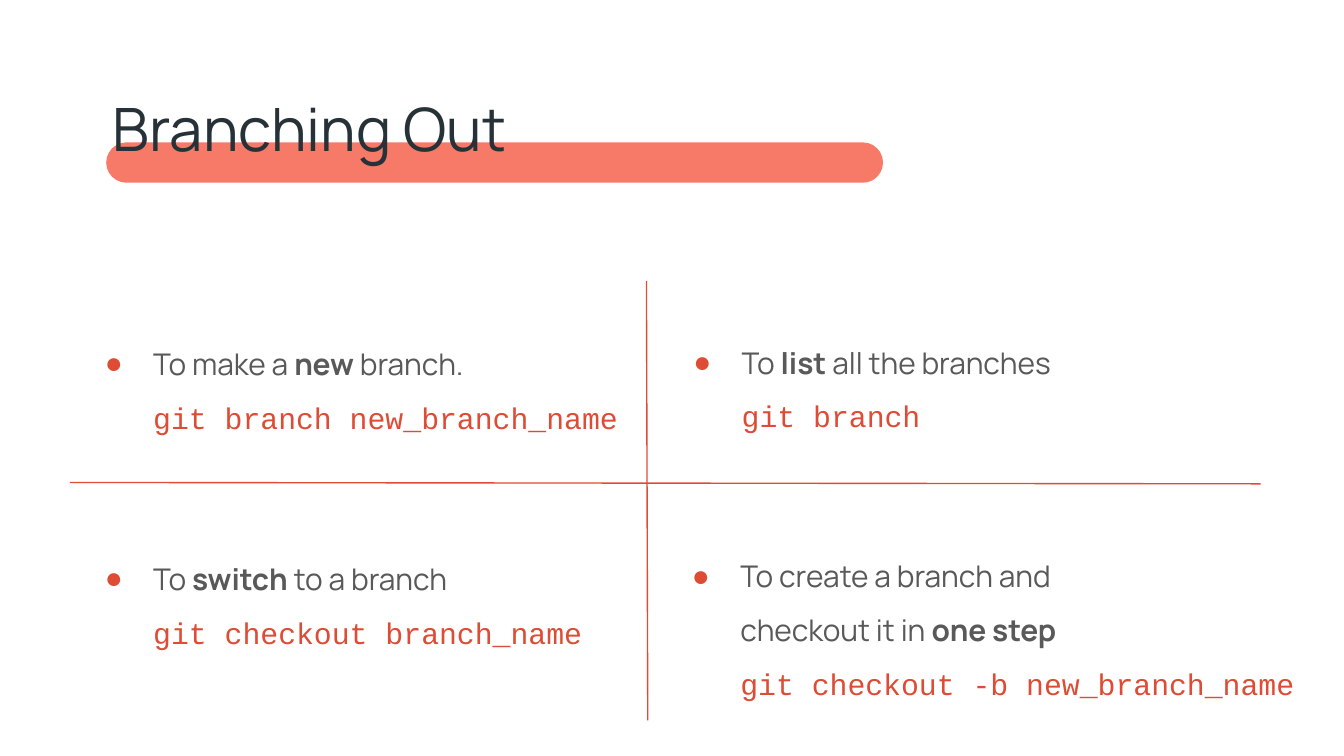
from lxml import etree
from pptx import Presentation
from pptx.dml.color import RGBColor
from pptx.enum.shapes import MSO_CONNECTOR, MSO_SHAPE
from pptx.enum.text import MSO_ANCHOR, MSO_AUTO_SIZE, PP_ALIGN
from pptx.oxml.ns import qn
from pptx.util import Inches, Pt

LEFT, JUSTIFY = PP_ALIGN.LEFT, PP_ALIGN.JUSTIFY
TOP = MSO_ANCHOR.TOP
NO_AUTOFIT = MSO_AUTO_SIZE.NONE
ROUNDED, STRAIGHT = MSO_SHAPE.ROUNDED_RECTANGLE, MSO_CONNECTOR.STRAIGHT

CORAL = RGBColor(0xF7, 0x79, 0x67)
RED = RGBColor(0xDE, 0x4C, 0x36)
NAVY = RGBColor(0x26, 0x32, 0x38)
GRAY = RGBColor(0x59, 0x59, 0x59)
SANS, MONO, BULLET_FONT = "Manrope", "Courier New", "Arial"


def prepare_frame(shape, left, top, width, height):
    """Place a text shape and give it even margins; return its text frame."""
    shape.left, shape.top = Inches(left), Inches(top)
    shape.width, shape.height = Inches(width), Inches(height)
    frame = shape.text_frame
    frame.word_wrap = True
    frame.auto_size = NO_AUTOFIT
    frame.vertical_anchor = TOP
    frame.margin_left = frame.margin_right = Inches(0.1)
    frame.margin_top = frame.margin_bottom = Inches(0.1)
    return frame


def add_line(frame, runs, bullet=False, code=False, space_before=0):
    """Add one indented line made of (text, bold) runs."""
    paragraph = frame.paragraphs[0]
    if paragraph.runs:
        paragraph = frame.add_paragraph()
    properties = paragraph._p.get_or_add_pPr()
    properties.set("marL", str(Inches(0.5)))
    properties.set("indent", str(Inches(-0.36) if bullet else 0))
    if bullet:
        color = etree.SubElement(properties, qn("a:buClr"))
        etree.SubElement(color, qn("a:srgbClr"), val=str(RED))
        etree.SubElement(properties, qn("a:buFont"), typeface=BULLET_FONT)
        etree.SubElement(properties, qn("a:buChar"), char="●")
    else:
        etree.SubElement(properties, qn("a:buNone"))
    paragraph.alignment = JUSTIFY
    paragraph.line_spacing = 1.5
    paragraph.space_before = Pt(space_before)
    for text, bold in runs:
        run = paragraph.add_run()
        run.text = text
        run.font.size = Pt(16)
        run.font.bold = bold
        run.font.name = MONO if code else SANS
        run.font.color.rgb = RED if code else GRAY


# Widescreen 16:9 slide
presentation = Presentation()
presentation.slide_width = Inches(10)
presentation.slide_height = Inches(10 * 9 / 16)
slide = presentation.slides.add_slide(presentation.slide_layouts[1])
title, body = slide.shapes.title, slide.placeholders[1]

# Title over a highlight bar
bar = slide.shapes.add_shape(ROUNDED, Inches(0.79), Inches(1.06), Inches(5.78), Inches(0.3))
bar.adjustments[0] = 0.5
bar.shadow.inherit = False
bar.fill.solid()
bar.fill.fore_color.rgb = CORAL
bar.line.fill.background()
title.element.addprevious(bar.element)

paragraph = prepare_frame(title, 0.74, 0.58, 8.42, 0.67).paragraphs[0]
paragraph.alignment = LEFT
run = paragraph.add_run()
run.text = "Branching Out"
run.font.size = Pt(32)
run.font.name = SANS
run.font.color.rgb = NAVY

# Left column: new and switch
frame = prepare_frame(body, 0.54, 2.34, 8.06, 2.99)
add_line(frame, [("To make a ", False), ("new", True), (" branch.", False)], bullet=True)
add_line(frame, [("git branch new_branch_name", False)], code=True)
add_line(frame, [("To ", False), ("switch", True), (" to a branch", False)],
         bullet=True, space_before=57.5)
add_line(frame, [("git checkout branch_name", False)], code=True)

# Top right: list
frame = prepare_frame(slide.shapes.add_textbox(0, 0, 0, 0), 4.92, 2.33, 4.21, 1)
add_line(frame, [("To ", False), ("list", True), (" all the branches", False)], bullet=True)
add_line(frame, [("git branch", False)], code=True)

# Bottom right: create and checkout
frame = prepare_frame(slide.shapes.add_textbox(0, 0, 0, 0), 4.91, 3.92, 5.38, 1.4)
add_line(frame, [("To create a branch and", False)], bullet=True)
add_line(frame, [("checkout it in ", False), ("one step", True)])
add_line(frame, [("git checkout -b new_branch_name", False)], code=True)

# Dividers between the four quadrants
for x1, y1, x2, y2 in [(4.81, 2.09, 4.82, 5.36), (0.52, 3.59, 9.38, 3.6)]:
    divider = slide.shapes.add_connector(STRAIGHT, Inches(x1), Inches(y1), Inches(x2), Inches(y2))
    divider.line.color.rgb = RED
    divider.line.width = Pt(0.75)
    etree.SubElement(divider.element.spPr, qn("a:effectLst"))

presentation.save("out.pptx")
